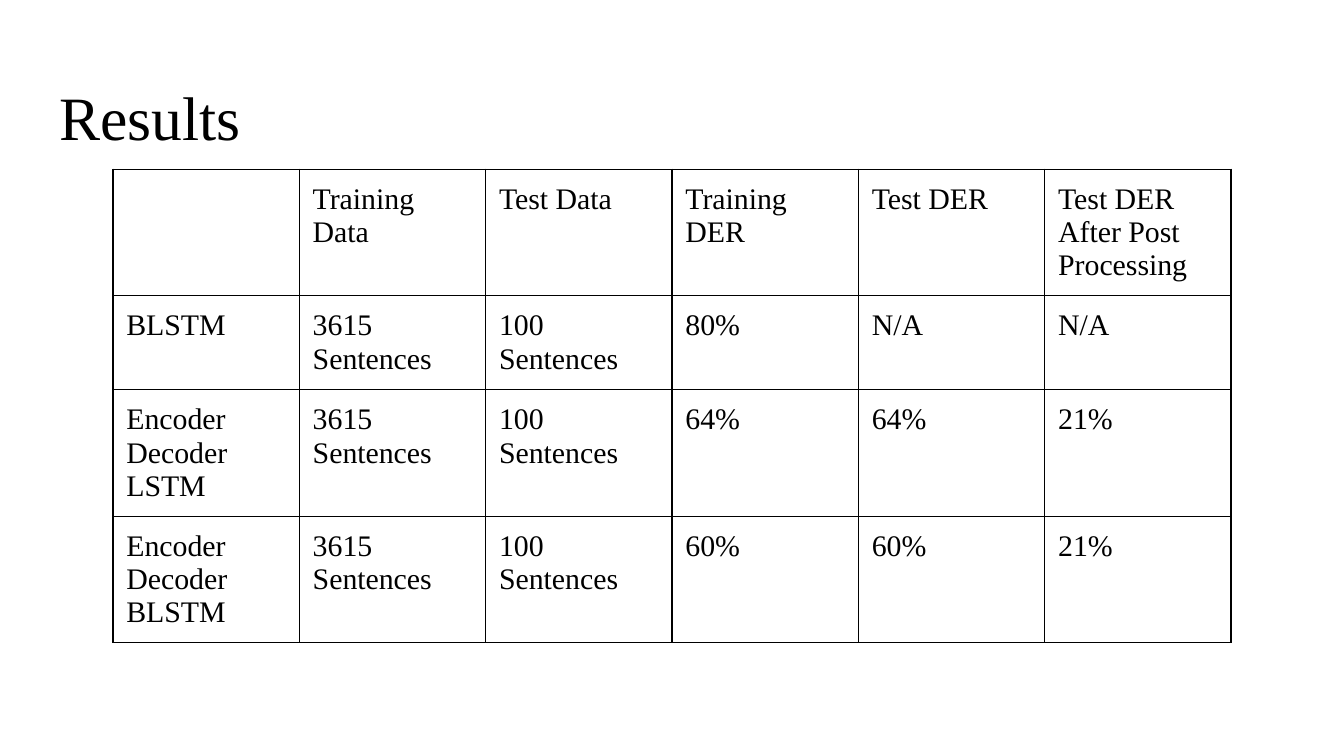
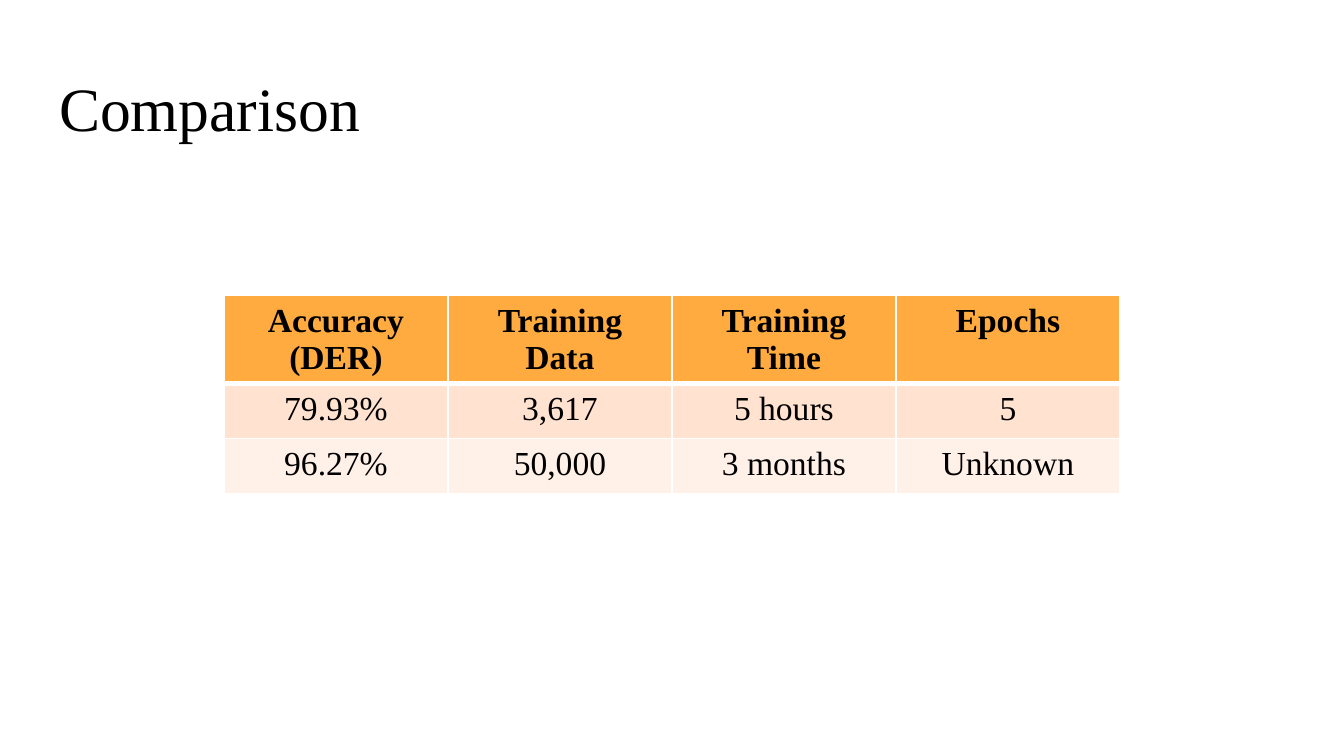
from dataclasses import dataclass

from lxml import etree
from pptx import Presentation
from pptx.dml.color import RGBColor
from pptx.enum.text import MSO_ANCHOR, MSO_AUTO_SIZE, PP_ALIGN
from pptx.oxml.ns import qn
from pptx.util import Inches, Pt

LEFT, CENTER = PP_ALIGN.LEFT, PP_ALIGN.CENTER
TOP = MSO_ANCHOR.TOP
NO_AUTOFIT = MSO_AUTO_SIZE.NONE

BLACK = RGBColor(0x00, 0x00, 0x00)
WHITE = RGBColor(0xFF, 0xFF, 0xFF)
ORANGE = RGBColor(0xFF, 0xAB, 0x40)
PEACH = RGBColor(0xFF, 0xE2, 0xCF)
PALE_PEACH = RGBColor(0xFF, 0xF1, 0xE8)

FONT = "Times New Roman"
TITLE_SIZE = 33
SLIDE_WIDTH, SLIDE_HEIGHT = Inches(10), Inches(5.625)
TITLE_LEFT = Inches(0.34)
TITLE_HEIGHT = Inches(0.63)
SIDES = ("L", "R", "T", "B")
TITLE_ONLY = 5


@dataclass(frozen=True)
class TableStyle:
    size: int
    align: PP_ALIGN
    margin: float
    line: RGBColor
    line_width: float
    header_rule: float
    header_bold: bool
    row_fills: tuple[RGBColor, ...] = ()


@dataclass(frozen=True)
class TableSlide:
    title: str
    title_top: float
    table_top: float
    width_share: float
    row_height: float
    style: TableStyle
    rows: tuple[tuple[str, ...], ...]


GRID = TableStyle(16, LEFT, 0.1, BLACK, 0.75, 0.75, False)
BANDED = TableStyle(18, CENTER, 0.05, WHITE, 1, 3, True, (ORANGE, PEACH, PALE_PEACH))
SENTENCES = ("3615 Sentences", "100 Sentences")

SLIDES = (
    TableSlide(
        "Results", 0.49, 1.26, 0.832, 0.7, GRID,
        (
            ("", "Training Data", "Test Data", "Training DER", "Test DER",
             "Test DER After Post Processing"),
            ("BLSTM", *SENTENCES, "80%", "N/A", "N/A"),
            ("Encoder Decoder LSTM", *SENTENCES, "64%", "64%", "21%"),
            ("Encoder Decoder BLSTM", *SENTENCES, "60%", "60%", "21%"),
        ),
    ),
    TableSlide(
        "Comparison", 0.42, 2.2, 2 / 3, 0.41, BANDED,
        (
            ("Accuracy (DER)", "Training Data", "Training Time", "Epochs"),
            ("79.93%", "3,617", "5 hours", "5"),
            ("96.27%", "50,000", "3 months", "Unknown"),
        ),
    ),
)


def write(frame, text: str, size: int, align: PP_ALIGN, bold: bool = False) -> None:
    paragraph = frame.paragraphs[0]
    paragraph.alignment = align
    paragraph.line_spacing = 1.0
    paragraph.space_before = Pt(0)
    paragraph.font.size = Pt(size)
    if not text:
        return
    run = paragraph.add_run()
    run.text = text
    run.font.name = FONT
    run.font.size = Pt(size)
    run.font.bold = bold
    run.font.color.rgb = BLACK


def add_border(cell, side: str, color: RGBColor, width: float) -> None:
    properties = cell._tc.get_or_add_tcPr()
    line = etree.SubElement(properties, qn(f"a:ln{side}"), w=str(int(Pt(width))))
    fill = etree.SubElement(line, qn("a:solidFill"))
    etree.SubElement(fill, qn("a:srgbClr"), val=str(color))


def format_cell(cell, text: str, row: int, style: TableStyle) -> None:
    heavy_side = {0: "B", 1: "T"}.get(row)
    for side in SIDES:
        width = style.header_rule if side == heavy_side else style.line_width
        add_border(cell, side, style.line, width)
    if style.row_fills:
        cell.fill.solid()
        cell.fill.fore_color.rgb = style.row_fills[row]
    else:
        cell.fill.background()
    cell.margin_left = cell.margin_right = Inches(0.1)
    cell.margin_top = cell.margin_bottom = Inches(style.margin)
    cell.vertical_anchor = TOP
    write(cell.text_frame, text, style.size, style.align, style.header_bold and row == 0)


def add_title(slide, content: TableSlide) -> None:
    title = slide.shapes.title
    title.left, title.top = TITLE_LEFT, Inches(content.title_top)
    title.width, title.height = SLIDE_WIDTH - 2 * TITLE_LEFT, TITLE_HEIGHT
    frame = title.text_frame
    frame.auto_size = NO_AUTOFIT
    frame.word_wrap = True
    frame.vertical_anchor = TOP
    frame.margin_left = frame.margin_right = Inches(0.1)
    frame.margin_top = frame.margin_bottom = Inches(0.1)
    write(frame, content.title, TITLE_SIZE, LEFT)


def add_data_table(slide, content: TableSlide) -> None:
    row_count, column_count = len(content.rows), len(content.rows[0])
    width = int(SLIDE_WIDTH * content.width_share)
    table = slide.shapes.add_table(
        row_count, column_count,
        (SLIDE_WIDTH - width) // 2, Inches(content.table_top),
        width, Inches(content.row_height * row_count),
    ).table
    table.first_row = table.horz_banding = False
    for row, texts in enumerate(content.rows):
        for column, text in enumerate(texts):
            format_cell(table.cell(row, column), text, row, content.style)


def main() -> None:
    deck = Presentation()
    deck.slide_width, deck.slide_height = SLIDE_WIDTH, SLIDE_HEIGHT
    for content in SLIDES:
        slide = deck.slides.add_slide(deck.slide_layouts[TITLE_ONLY])
        add_title(slide, content)
        add_data_table(slide, content)
    deck.save("out.pptx")


if __name__ == "__main__":
    main()
